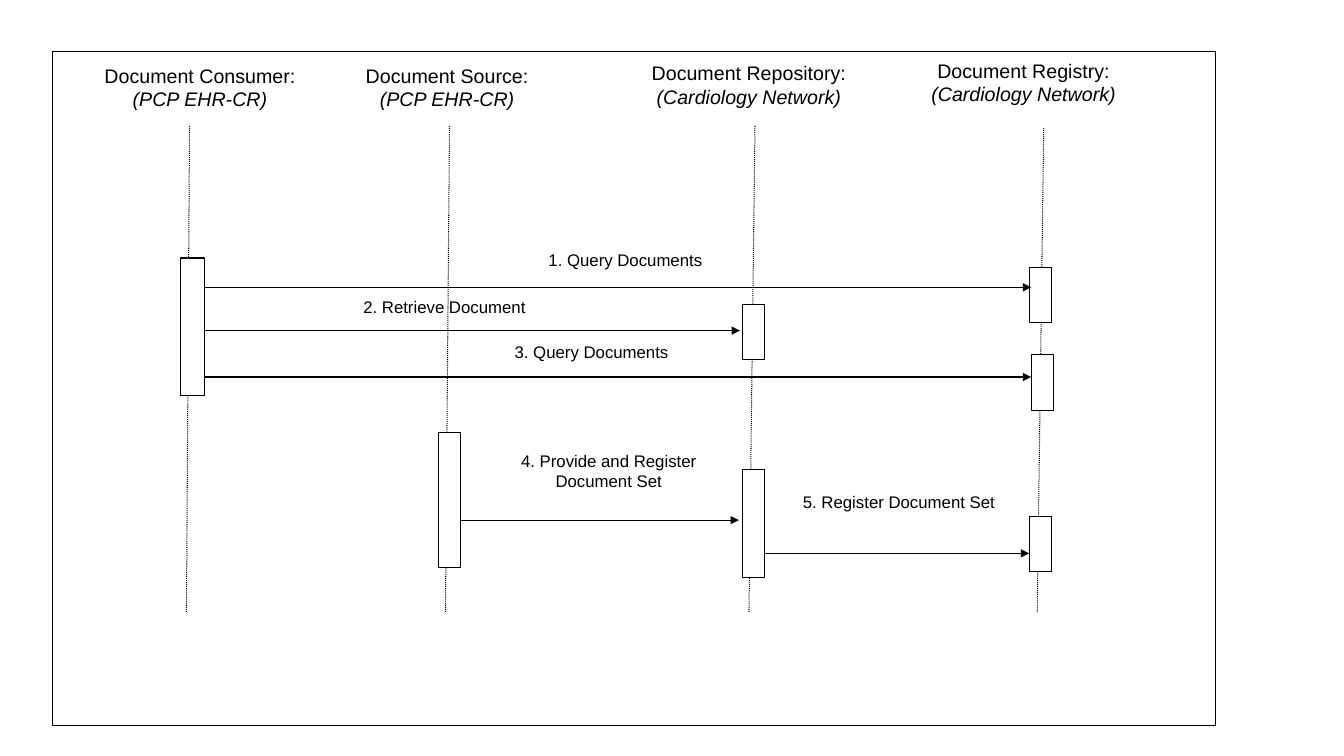
from dataclasses import dataclass

from lxml.etree import SubElement
from pptx import Presentation
from pptx.dml.color import RGBColor
from pptx.enum.dml import MSO_LINE
from pptx.enum.shapes import MSO_CONNECTOR, MSO_SHAPE
from pptx.enum.text import MSO_ANCHOR, PP_ALIGN
from pptx.oxml.ns import qn
from pptx.util import Pt

COLOURS = {"ink": "000000", "paper": "FFFFFF"}
FONT = "Arial"
LINE_WIDTH = 0.75
LIFELINE_BOTTOM = 437.8
BAR_WIDTH = 15.8
SHORT_BAR = 39.6

Area = tuple[float, float, float, float]  # left, top, width, height
Point = tuple[float, float]


@dataclass
class Participant:
    role: str
    system: str
    header: Area
    lifeline_top: Point
    lifeline_foot: float
    lifeline_behind: bool = False


@dataclass
class Message:
    label: str
    area: Area
    start: float
    end: float
    y: float


PARTICIPANTS = [
    Participant("Document Repository:", "(Cardiology Network)",
                (428.4, 40.3, 213.1, 77), (539.3, 90), 535),
    Participant("Document Source:", "(PCP EHR-CR)",
                (225.4, 41.8, 187.9, 50.4), (321.1, 90), 318.2),
    Participant("Document Registry:", "(Cardiology Network)",
                (637.2, 38.2, 187.9, 53.3), (745.9, 64.8), 740.9, True),
    Participant("Document Consumer:", "(PCP EHR-CR)",
                (46.8, 41.8, 192.2, 64.1), (135.4, 90), 133.2),
]

ACTIVATIONS: list[Area] = [
    (128.9, 184.3, 17.3, 98.6),  # consumer
    (313.2, 308.9, BAR_WIDTH, 96.5),  # source
    (530.6, 217.4, BAR_WIDTH, SHORT_BAR),  # repository
    (530.6, 335.5, BAR_WIDTH, 77),
    (735.1, 190.8, BAR_WIDTH, SHORT_BAR),  # registry
    (736.6, 253.4, BAR_WIDTH, SHORT_BAR),
    (735.1, 368.6, BAR_WIDTH, SHORT_BAR),
]

MESSAGES = [
    Message("1. Query Documents", (335.5, 175, 222.5, 32.4), 145.4, 736.6, 205.2),
    Message("2. Retrieve Document", (211.7, 208.1, 211.7, 37.4), 145.4, 528.5, 236.2),
    Message("3. Query Documents", (324.7, 240.5, 195.8, 39.6), 145.4, 736.6, 269.3),
    Message("4. Provide and Register Document Set", (342.7, 318.2, 184.3, 48.2),
            329, 527.8, 371.5),
    Message("5. Register Document Set", (559.4, 347.8, 165.6, 34.6), 545.8, 735.1, 395.3),
]


def colour(name: str) -> RGBColor:
    return RGBColor.from_string(COLOURS[name])


def add_box(page, area: Area, *, filled: bool = True, outlined: bool = True):
    box = page.shapes.add_shape(MSO_SHAPE.RECTANGLE, *map(Pt, area))
    box.shadow.inherit = False
    if filled:
        box.fill.solid()
        box.fill.fore_color.rgb = colour("paper")
    else:
        box.fill.background()
    if outlined:
        box.line.color.rgb = colour("ink")
        box.line.width = Pt(LINE_WIDTH)
    else:
        box.line.fill.background()
    return box


def write(box, text: str, *, size: float, second_line: str = "") -> None:
    """Centre text in a box, with an optional italic second line."""
    frame = box.text_frame
    frame.word_wrap = True
    frame.vertical_anchor = MSO_ANCHOR.TOP
    para = frame.paragraphs[0]
    para.alignment = PP_ALIGN.CENTER
    para.font.size = Pt(size)
    for line in filter(None, (text, second_line)):
        if para.runs:
            para.add_line_break()
        span = para.add_run()
        span.text = line
        span.font.name = FONT
        span.font.size = Pt(size)
        span.font.italic = True if line == second_line else None
        span.font.color.rgb = colour("ink")


def add_line(page, start: Point, end: Point, *, dotted: bool = False,
             arrow: bool = False) -> None:
    connector = page.shapes.add_connector(MSO_CONNECTOR.STRAIGHT, *map(Pt, start + end))
    connector.line.color.rgb = colour("ink")
    connector.line.width = Pt(LINE_WIDTH)
    if dotted:
        connector.line.dash_style = MSO_LINE.ROUND_DOT
    if arrow:
        outline = connector.line._get_or_add_ln()
        SubElement(outline, qn("a:tailEnd"), type="triangle")
    SubElement(connector._element.spPr, qn("a:effectLst"))


def add_header(page, participant: Participant) -> None:
    box = add_box(page, participant.header, outlined=False)
    write(box, participant.role, size=14, second_line=participant.system)


def add_lifeline(page, participant: Participant) -> None:
    foot = (participant.lifeline_foot, LIFELINE_BOTTOM)
    add_line(page, participant.lifeline_top, foot, dotted=True)


def add_message(page, message: Message) -> None:
    add_line(page, (message.start, message.y), (message.end, message.y), arrow=True)
    label = page.shapes.add_textbox(*map(Pt, message.area))
    write(label, message.label, size=12)


def main() -> None:
    deck = Presentation()
    deck.slide_width, deck.slide_height = Pt(960), Pt(540)
    page = deck.slides.add_slide(deck.slide_layouts[6])

    # Diagram frame
    add_box(page, (37.5, 36.7, 830.9, 481.7), filled=False)

    # Participants and their lifelines
    for participant in PARTICIPANTS:
        steps = [add_header, add_lifeline]
        if participant.lifeline_behind:
            steps.reverse()
        for step in steps:
            step(page, participant)

    # Activation bars
    for area in ACTIVATIONS:
        add_box(page, area)

    # Messages
    for message in MESSAGES:
        add_message(page, message)

    deck.save("out.pptx")


if __name__ == "__main__":
    main()
